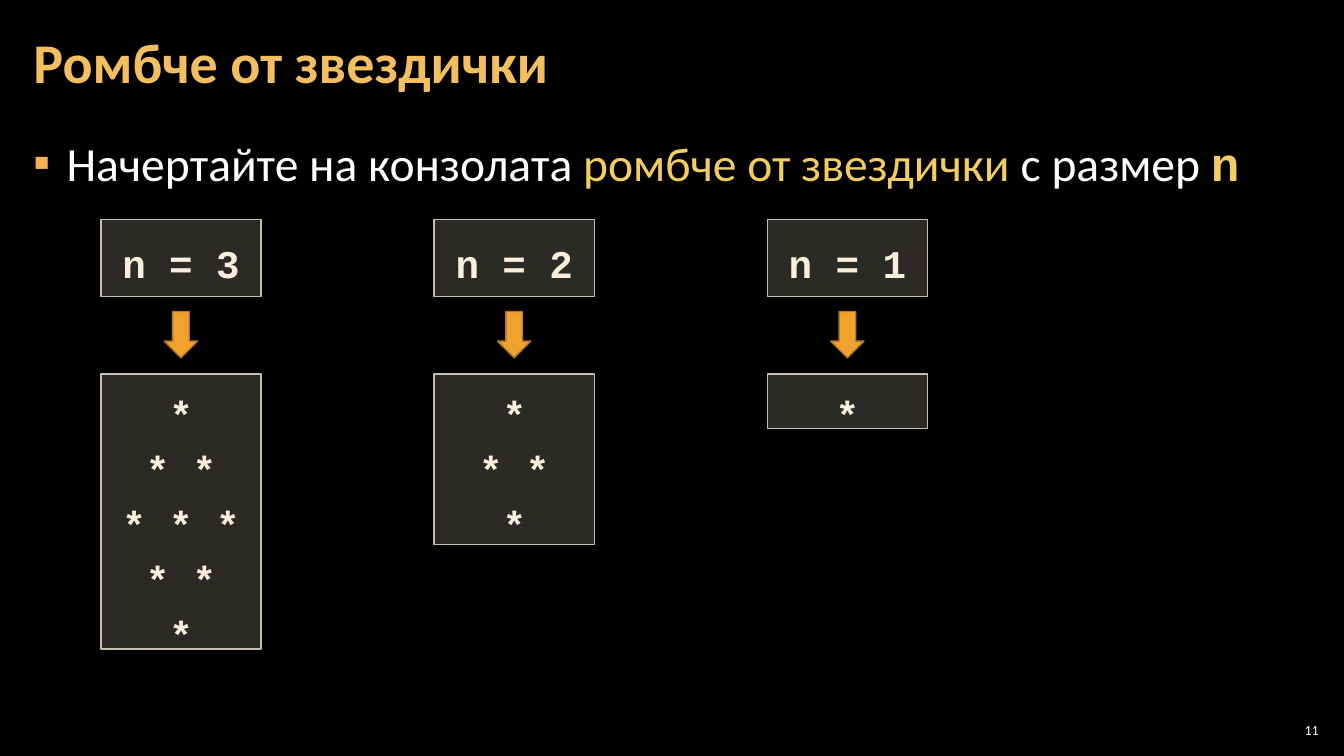
from lxml import etree
from pptx import Presentation, util as u
from pptx.dml.color import RGBColor
from pptx.enum import shapes, text
from pptx.oxml.ns import qn

BLACK = RGBColor(0x00, 0x00, 0x00)
WHITE = RGBColor(0xFF, 0xFF, 0xFF)
GOLD = RGBColor(0xF3, 0xBE, 0x60)
YELLOW = RGBColor(0xF3, 0xCD, 0x60)
BULLET = RGBColor(0xF2, 0xB2, 0x54)
CREAM = RGBColor(0xFB, 0xEE, 0xDC)
PANEL = RGBColor(0xD9, 0xD5, 0xC7)
EDGE = RGBColor(0xC7, 0xBF, 0xAC)
ORANGE = RGBColor(0xF0, 0xA2, 0x2E)
BROWN = RGBColor(0xB2, 0x78, 0x22)
SANS, MONO = "Calibri", "Courier New"

LEFT, PITCH, WIDE = 1, 3.305, 1.59
HEAD_Y, ARROW_Y, STAR_Y = 2.18, 3.09, 3.71
HEAD_H, ARROW_W, ARROW_H = 0.76, 0.33, 0.46
# Size of the rhombus and height of its panel
CASES = [(3, 2.73), (2, 1.69), (1, 0.54)]


def place(shape, x, y, w, h):
    shape.left, shape.top = u.Inches(x), u.Inches(y)
    shape.width, shape.height = u.Inches(w), u.Inches(h)


def write(para, words, font=SANS, size=28, color=WHITE, bold=False):
    run = para.add_run()
    run.text = words
    run.font.name, run.font.size = font, u.Pt(size)
    run.font.color.rgb, run.font.bold = color, bold


def frame(shape, side, edge, anchor=text.MSO_ANCHOR.TOP):
    """Set margins, wrapping and anchor; return the text frame."""
    box = shape.text_frame
    box.word_wrap = True
    box.auto_size = text.MSO_AUTO_SIZE.NONE
    box.vertical_anchor = anchor
    box.margin_left = box.margin_right = u.Inches(side)
    box.margin_top = box.margin_bottom = u.Inches(edge)
    return box


def add_bullet(para, sign, color, indent):
    props = para._p.get_or_add_pPr()
    props.set("marL", str(u.Inches(indent)))
    props.set("indent", str(-u.Inches(indent)))
    tint = etree.SubElement(props, qn("a:buClr"))
    etree.SubElement(tint, qn("a:srgbClr"), val=str(color))
    etree.SubElement(props, qn("a:buFont"), typeface=SANS)
    etree.SubElement(props, qn("a:buChar"), char=sign)


def add_form(slide, kind, at, fill, line):
    form = slide.shapes.add_shape(kind, *map(u.Inches, at))
    form.shadow.inherit = False
    form.fill.solid()
    form.fill.fore_color.rgb = fill
    form.line.color.rgb, form.line.width = line, u.Pt(1)
    return form


def add_panel(slide, at, lines, edge):
    """Draw a translucent panel with centred code lines."""
    panel = add_form(slide, shapes.MSO_SHAPE.RECTANGLE, at, PANEL, EDGE)
    tint = panel.fill._xPr.find(".//" + qn("a:srgbClr"))
    etree.SubElement(tint, qn("a:alpha"), val="20000")
    box = frame(panel, 0.2, edge)
    for i, line in enumerate(lines):
        para = box.add_paragraph() if i else box.paragraphs[0]
        para.alignment = text.PP_ALIGN.CENTER
        para.line_spacing = 1.17
        write(para, line, MONO, color=CREAM, bold=True)


def rhombus(n):
    counts = [*range(1, n + 1), *range(n - 1, 0, -1)]
    return [" ".join("*" * count) for count in counts]


def add_case(slide, col, n, tall):
    x = LEFT + col * PITCH
    add_panel(slide, (x, STAR_Y, WIDE, tall), rhombus(n), 0.08)
    add_panel(slide, (x, HEAD_Y, WIDE, HEAD_H), [f"n = {n}"], 0.12)
    at = (x + (WIDE - ARROW_W) / 2, ARROW_Y, ARROW_W, ARROW_H)
    add_form(slide, shapes.MSO_SHAPE.DOWN_ARROW, at, ORANGE, BROWN)


def add_title(slide):
    title = slide.shapes.title
    place(title, 0.21, 0.04, 10.47, 1.21)
    para = frame(title, 0.12, 0.04, text.MSO_ANCHOR.MIDDLE).paragraphs[0]
    para.alignment, para.line_spacing = text.PP_ALIGN.LEFT, 0.9
    write(para, "Ромбче от звездички", size=40, color=GOLD, bold=True)


def add_body(slide):
    body = slide.placeholders[1]
    place(body, 0.21, 1.26, 12.91, 6.09)
    para = frame(body, 0.12, 0.04).paragraphs[0]
    para.line_spacing = 1.05
    para.space_before = para.space_after = u.Pt(6)
    add_bullet(para, "▪", BULLET, 0.33)
    write(para, "Начертайте на конзолата ", size=34)
    write(para, "ромбче от звездички ", size=34, color=YELLOW)
    write(para, "с размер ", size=34)
    write(para, "n", MONO, 34, YELLOW, True)


def add_number(slide):
    at = map(u.Inches, (12.65, 7.14, 0.47, 0.21))
    note = slide.shapes.add_textbox(*at)
    para = frame(note, 0.04, 0.04, text.MSO_ANCHOR.MIDDLE).paragraphs[0]
    para.alignment = text.PP_ALIGN.RIGHT
    write(para, "11", size=10)


def main():
    deck = Presentation()
    deck.slide_width, deck.slide_height = u.Inches(13.33), u.Inches(7.5)
    slide = deck.slides.add_slide(deck.slide_layouts[1])
    slide.background.fill.solid()
    slide.background.fill.fore_color.rgb = BLACK
    add_number(slide)
    add_title(slide)
    add_body(slide)
    for col, (n, tall) in enumerate(CASES):
        add_case(slide, col, n, tall)
    deck.save("out.pptx")


if __name__ == "__main__":
    main()
